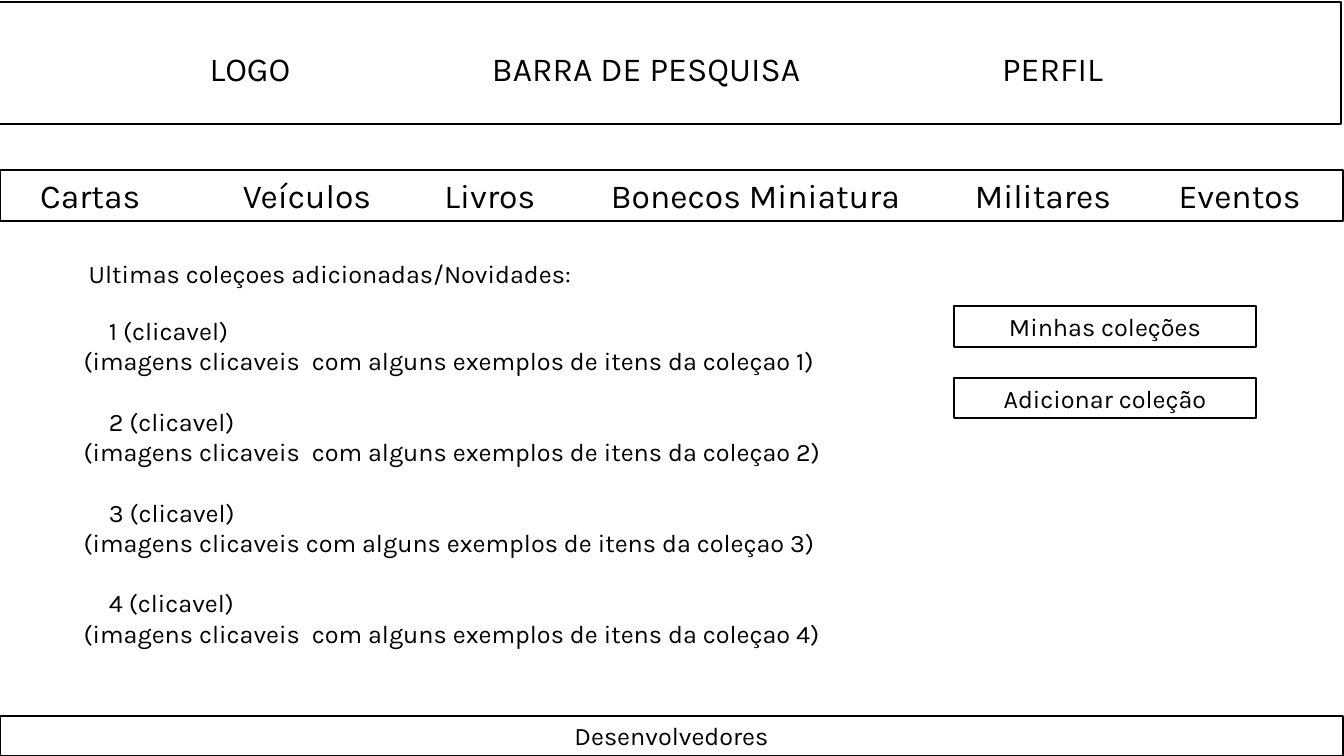
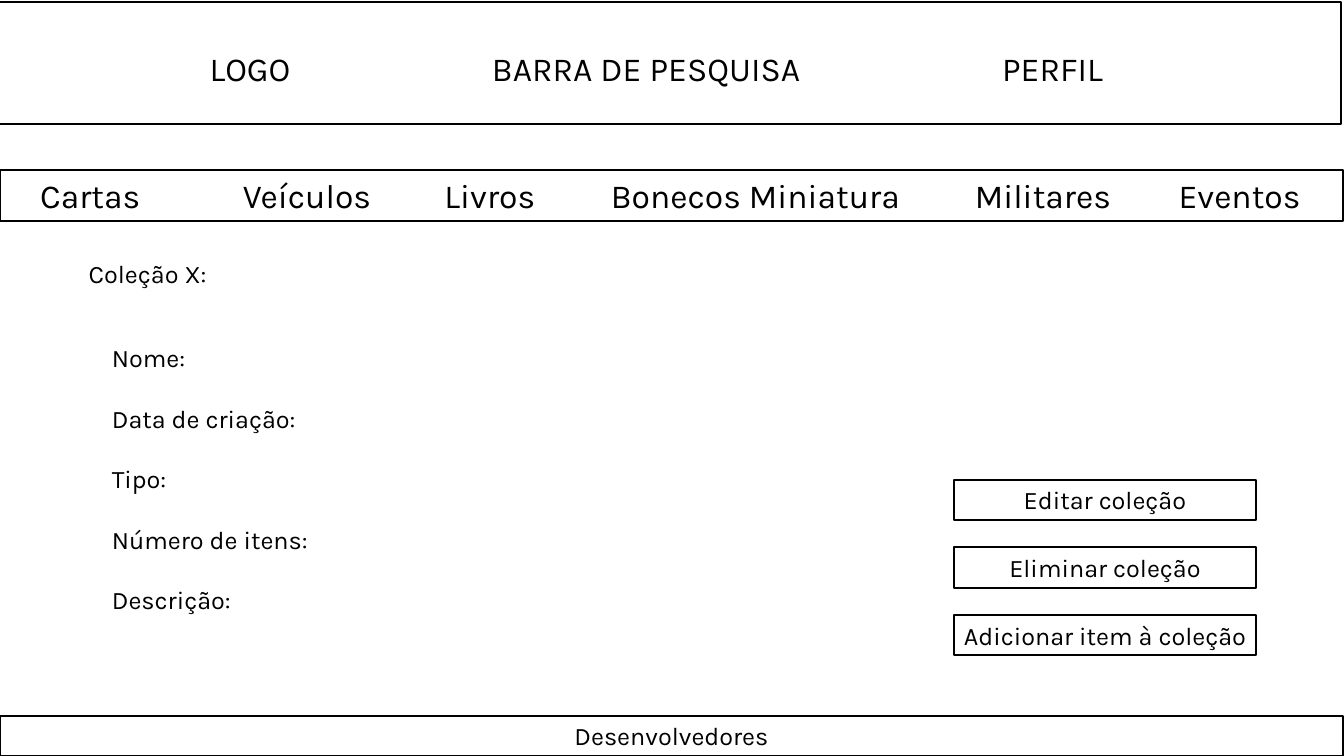
"""Build two wireframe slides for a collection catalogue website."""
from lxml import etree
from pptx import Presentation
from pptx.dml.color import RGBColor
from pptx.enum.shapes import MSO_SHAPE
from pptx.enum.text import MSO_ANCHOR, MSO_AUTO_SIZE, PP_ALIGN
from pptx.oxml.ns import qn
from pptx.util import Inches, Pt

RECTANGLE = MSO_SHAPE.RECTANGLE
TOP, MIDDLE = MSO_ANCHOR.TOP, MSO_ANCHOR.MIDDLE
LEFT, CENTER = PP_ALIGN.LEFT, PP_ALIGN.CENTER
NO_AUTOFIT = MSO_AUTO_SIZE.NONE

COLORS = {"ink": "000000", "paper": "FFFFFF"}
FONT = "Karla"
BAR_SIZE, TEXT_SIZE = 24, 18
BLANK_LINE = 21.6
SLIDE_WIDTH, SLIDE_HEIGHT = 13.33, 7.5
BAR_HEIGHT = 0.4
BUTTON_LEFT, BUTTON_WIDTH = 9.46, 3

HEADER = [("LOGO", 1.99), ("BARRA DE PESQUISA", 4.79), ("PERFIL", 9.85)]
MENU = [("Cartas", 0.3), ("Veículos", 2.31), ("Livros", 4.31),
        ("Bonecos Miniatura", 5.96), ("Militares", 9.57), ("Eventos", 11.59)]
FOOTER = "Desenvolvedores"

COLLECTIONS = [
    ("1 (clicavel)", "(imagens clicaveis  com alguns exemplos de itens da coleçao 1)"),
    ("2 (clicavel)", "(imagens clicaveis  com alguns exemplos de itens da coleçao 2)"),
    ("3 (clicavel)", "(imagens clicaveis com alguns exemplos de itens da coleçao 3)"),
    ("4 (clicavel)", "(imagens clicaveis  com alguns exemplos de itens da coleçao 4)"),
]
FIELDS = ["Nome:", "Data de criação:", "Tipo:", "Número de itens:", "Descrição:"]

# Each list line is (text, indent in inches, space before in points).
PAGES = [
    {
        "title": "Ultimas coleçoes adicionadas/Novidades:",
        "list_box": (0.73, 3.08, 8.55, 3.74),
        "lines": [line for name, images in COLLECTIONS
                  for line in ((name, 0.25, BLANK_LINE), (images, 0, 0))],
        "buttons": ["Minhas coleções", "Adicionar coleção"],
        "buttons_top": 3.04,
        "button_step": 0.71,
    },
    {
        "title": "Coleção X:",
        "list_box": (1.01, 3.35, 4.4, 2.83),
        "lines": [(field, 0, BLANK_LINE) for field in FIELDS],
        "buttons": ["Editar coleção", "Eliminar coleção", "Adicionar item à coleção"],
        "buttons_top": 4.76,
        "button_step": 0.67,
    },
]


def color(name):
    return RGBColor.from_string(COLORS[name])


def style(paragraph, size, alignment):
    paragraph.alignment = alignment
    font = paragraph.font
    font.name, font.size = FONT, Pt(size)
    font.color.rgb = color("ink")


def add_box(slide, box, text, size=TEXT_SIZE, alignment=CENTER, tabs=()):
    shape = slide.shapes.add_shape(RECTANGLE, *map(Inches, box))
    shape.shadow.inherit = False
    shape.fill.solid()
    shape.fill.fore_color.rgb = color("paper")
    shape.line.color.rgb = color("ink")
    shape.line.width = Pt(1.5)
    frame = shape.text_frame
    frame.word_wrap = True
    frame.vertical_anchor = MIDDLE
    paragraph = frame.paragraphs[0]
    paragraph.text = text
    if tabs:
        properties = paragraph._p.get_or_add_pPr()
        tab_list = etree.SubElement(properties, qn("a:tabLst"))
        for position in tabs:
            etree.SubElement(tab_list, qn("a:tab"), pos=str(Inches(position)), algn="l")
    style(paragraph, size, alignment)
    return shape


def add_bar(slide, box, items):
    text = "".join("\t" + label for label, _ in items)
    tabs = [position for _, position in items]
    return add_box(slide, box, text, BAR_SIZE, LEFT, tabs)


def fill_placeholder(placeholder, box, lines):
    placeholder.left, placeholder.top, placeholder.width, placeholder.height = map(Inches, box)
    frame = placeholder.text_frame
    frame.word_wrap = True
    frame.auto_size = NO_AUTOFIT
    frame.vertical_anchor = TOP
    frame.text = "\n".join(text for text, _, _ in lines)
    for index, (paragraph, line) in enumerate(zip(frame.paragraphs, lines)):
        _, indent, space = line
        properties = paragraph._p.get_or_add_pPr()
        properties.set("marL", str(Inches(indent)))
        properties.set("indent", "0")
        etree.SubElement(properties, qn("a:buNone"))
        paragraph.space_before = Pt(space if index else 0)
        style(paragraph, TEXT_SIZE, LEFT)


def add_frame(slide):
    header = add_bar(slide, (-0.01, 0.02, 13.31, 1.21), HEADER)
    header.text_frame.margin_top = Inches(0.14)
    add_bar(slide, (0, 1.69, SLIDE_WIDTH - 0.01, 0.5), MENU)
    add_box(slide, (0, SLIDE_HEIGHT - BAR_HEIGHT, SLIDE_WIDTH - 0.01, BAR_HEIGHT), FOOTER)


def add_page(presentation, page):
    slide = presentation.slides.add_slide(presentation.slide_layouts[1])
    fill_placeholder(slide.shapes.title, (0.78, 2.51, 5.77, 0.4), [(page["title"], 0, 0)])
    fill_placeholder(slide.placeholders[1], page["list_box"], page["lines"])
    add_frame(slide)
    for index, label in enumerate(page["buttons"]):
        top = page["buttons_top"] + index * page["button_step"]
        add_box(slide, (BUTTON_LEFT, top, BUTTON_WIDTH, BAR_HEIGHT), label)


def main():
    presentation = Presentation()
    presentation.slide_width = Inches(SLIDE_WIDTH)
    presentation.slide_height = Inches(SLIDE_HEIGHT)
    for page in PAGES:
        add_page(presentation, page)
    presentation.save("out.pptx")


if __name__ == "__main__":
    main()
